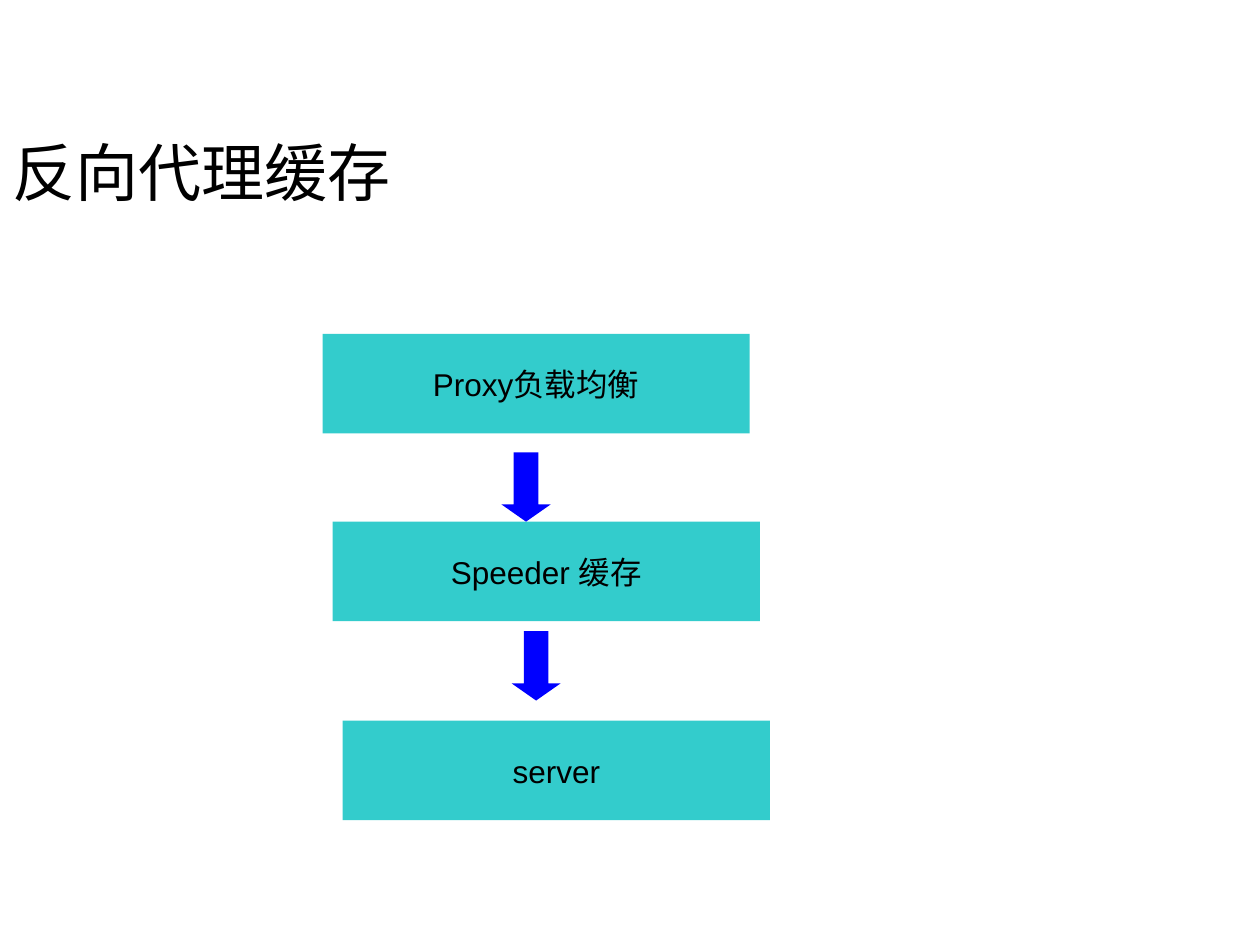
import pptx
import pptx.dml.color
import pptx.enum.shapes
import pptx.enum.text
import pptx.util

SLIDE_WIDTH, SLIDE_HEIGHT = 10, 7.5
STAGE_WIDTH, STAGE_HEIGHT = 3.39, 0.79
ARROW_WIDTH, ARROW_HEIGHT = 0.39, 0.55
SHIFT = 0.08
STAGES = [("Proxy负载均衡", 0), ("Speeder 缓存", 1.49), ("server", 3.07)]
ARROW_TOPS = [0.94, 2.36]
ARROW_INDENT = 1.42


def color(hex_string):
    """Turn a hex string into a colour."""
    return pptx.dml.color.RGBColor.from_string(hex_string)


def inches(*lengths):
    """Convert several lengths from inches."""
    return [pptx.util.Inches(length) for length in lengths]


def write(holder, wording, size, font_name, alignment, wrap):
    """Write one vertically centred paragraph into a shape."""
    frame = holder.text_frame
    frame.word_wrap = wrap
    frame.vertical_anchor = pptx.enum.text.MSO_ANCHOR.MIDDLE
    paragraph = frame.paragraphs[0]
    paragraph.text = wording
    paragraph.alignment = alignment
    paragraph.font.size = pptx.util.Pt(size)
    paragraph.font.name = font_name
    paragraph.font.color.rgb = color("000000")


def add_block(slide, preset, box, fill):
    """Add a flat filled shape without outline or shadow."""
    block = slide.shapes.add_shape(preset, *inches(*box))
    block.shadow.inherit = False
    block.fill.solid()
    block.fill.fore_color.rgb = color(fill)
    block.line.fill.background()
    return block


def add_heading(slide, box):
    """Place the slide heading in its box."""
    heading = slide.shapes.add_textbox(*inches(*box))
    write(heading, "反向代理缓存", 36, "Quicksand", pptx.enum.text.PP_ALIGN.LEFT, True)


def add_request_flow(slide, left, top):
    """Place the stages and the arrows between them, each a step to the right."""
    presets = pptx.enum.shapes.MSO_SHAPE
    for step, (wording, offset) in enumerate(STAGES):
        box = (left + step * SHIFT, top + offset, STAGE_WIDTH, STAGE_HEIGHT)
        stage = add_block(slide, presets.RECTANGLE, box, "33CCCC")
        write(stage, wording, 18, "Arial", pptx.enum.text.PP_ALIGN.CENTER, False)
    for step, offset in enumerate(ARROW_TOPS):
        box = (left + ARROW_INDENT + step * SHIFT, top + offset, ARROW_WIDTH, ARROW_HEIGHT)
        arrow = add_block(slide, presets.DOWN_ARROW, box, "0000FF")
        arrow.adjustments[0] = 0.5
        arrow.adjustments[1] = 0.35


def main():
    """Build and save the slide."""
    deck = pptx.Presentation()
    deck.slide_width, deck.slide_height = inches(SLIDE_WIDTH, SLIDE_HEIGHT)
    slide = deck.slides.add_slide(deck.slide_layouts[6])
    add_heading(slide, (0, 0.85, 8.98, 1.02))
    add_request_flow(slide, 2.56, 2.65)
    deck.save("out.pptx")


if __name__ == "__main__":
    main()
